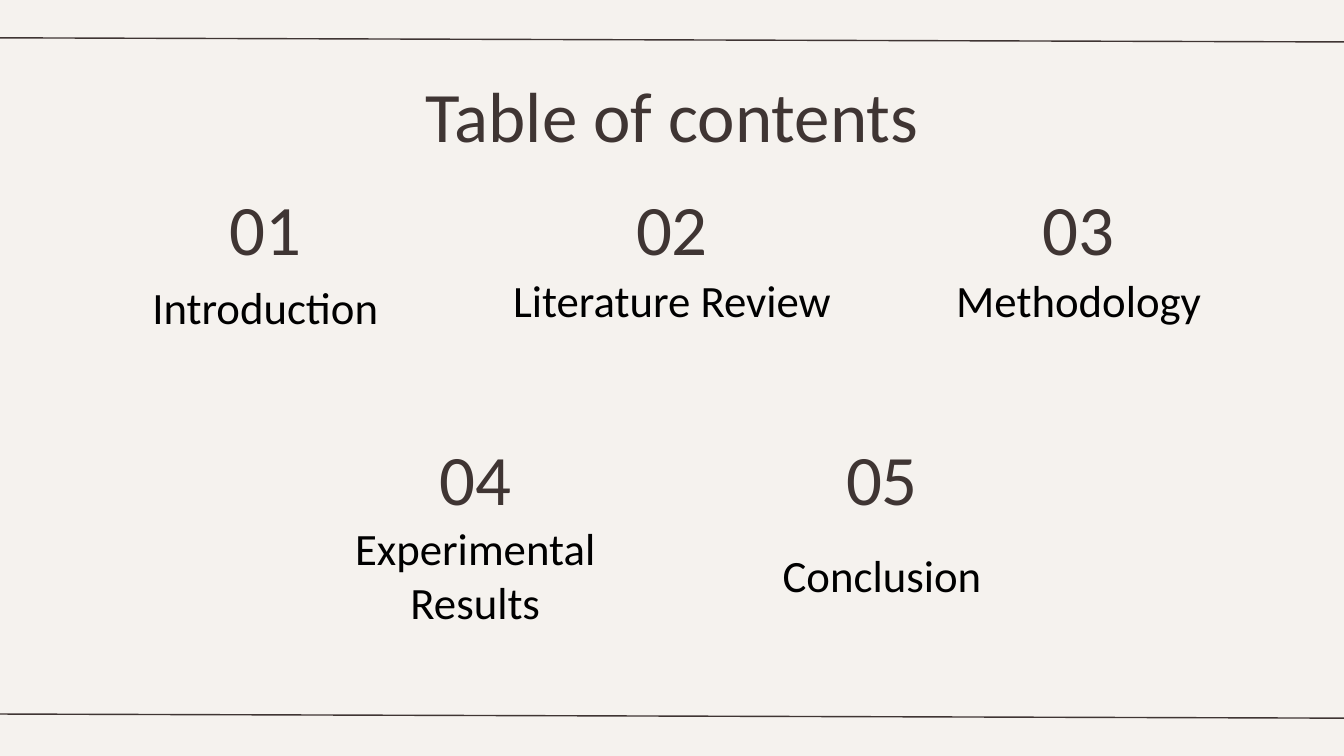
from dataclasses import dataclass

from lxml import etree
from pptx import Presentation
from pptx.dml.color import RGBColor
from pptx.enum.shapes import MSO_CONNECTOR
from pptx.enum.text import MSO_ANCHOR, MSO_AUTO_SIZE, PP_ALIGN
from pptx.oxml.ns import qn
from pptx.util import Emu, Pt

PX = 9525  # EMU in one px
STRAIGHT = MSO_CONNECTOR.STRAIGHT
TOP = MSO_ANCHOR.TOP
GROW = MSO_AUTO_SIZE.SHAPE_TO_FIT_TEXT
CENTER = PP_ALIGN.CENTER


@dataclass(frozen=True)
class Theme:
    paper: str = "F5F2EE"
    brown: str = "3F3533"
    black: str = "000000"
    font: str = "Calibri"
    head: int = 76
    body: int = 48
    rule: float = 1.5
    lead: float = 1.2


def px(*vals):
    return [Emu(v * PX) for v in vals]


def write(shape, text, font, size, color, lead):
    frame = shape.text_frame
    frame.word_wrap = True
    frame.auto_size = GROW
    frame.vertical_anchor = TOP
    frame.margin_left = frame.margin_top = 0
    frame.margin_right = frame.margin_bottom = 0
    para = frame.paragraphs[0]
    para.alignment = CENTER
    para.line_spacing = Pt(size * lead)
    run = para.add_run()
    run.text = text
    run.font.name = font
    run.font.size = Pt(size)
    run.font.color.rgb = RGBColor.from_string(color)


class Page:
    def __init__(self, deck, theme):
        self.theme = theme
        self.slide = deck.slides.add_slide(deck.slide_layouts[5])
        fill = self.slide.background.fill
        fill.solid()
        fill.fore_color.rgb = RGBColor.from_string(theme.paper)

    def line(self, x1, y1, x2, y2):
        line = self.slide.shapes.add_connector(STRAIGHT, *px(x1, y1, x2, y2))
        line.line.color.rgb = RGBColor.from_string(self.theme.brown)
        line.line.width = Pt(self.theme.rule)
        etree.SubElement(line._element.spPr, qn("a:effectLst"))

    def title(self, text, x, y, w, h):
        shape = self.slide.shapes.title
        shape.left, shape.top, shape.width, shape.height = px(x, y, w, h)
        self.style(shape, text, self.theme.head, self.theme.brown)

    def label(self, text, x, y, w, h, size, color):
        box = self.slide.shapes.add_textbox(*px(x, y, w, h))
        self.style(box, text, size, color)

    def style(self, shape, text, size, color):
        write(shape, text, font=self.theme.font, size=size, color=color,
              lead=self.theme.lead)

    def entry(self, num, text, mid, top, drop, high):
        """Number with its heading, both centred on mid."""
        theme = self.theme
        self.label(f"{num:02}", mid - 100, top, 200, 122,
                   theme.head, theme.brown)
        self.label(text, mid - 252, top + drop, 504, high,
                   theme.body, theme.black)


def main():
    deck = Presentation()
    deck.slide_width, deck.slide_height = px(1920, 1080)
    page = Page(deck, Theme())

    # Rules at top and bottom
    for y in (54, 1020):
        page.line(-18, y, 1938, y + 6)

    page.title("Table of contents", 108, 102, 1704, 122)

    # Entries: first centre, top, then (heading, drop, height)
    step = 581
    rows = [
        (379, 264, [("Introduction", 136, 55),
                    ("Literature Review", 126, 75),
                    ("Methodology", 126, 75)]),
        (679, 621, [("Experimental Results", 123, 151),
                    ("Conclusion", 161, 75)]),
    ]
    num = 0
    for mid, top, items in rows:
        for col, (text, drop, high) in enumerate(items):
            num += 1
            page.entry(num, text, mid + col * step, top, drop, high)

    deck.save("out.pptx")


if __name__ == "__main__":
    main()
